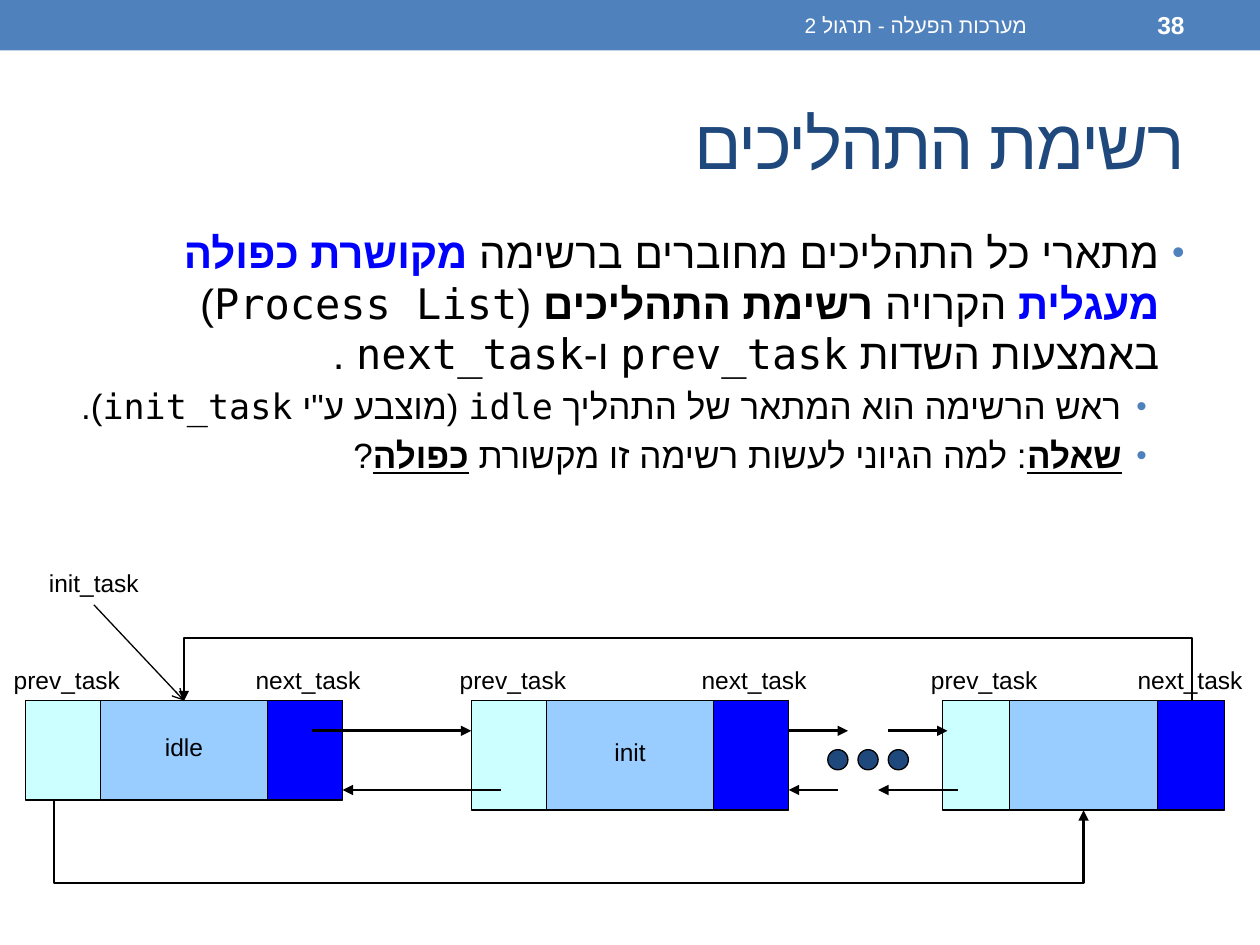
from lxml.etree import SubElement
from pptx import Presentation
from pptx.dml.color import RGBColor
from pptx.enum.shapes import MSO_CONNECTOR, MSO_SHAPE
from pptx.enum.text import MSO_ANCHOR, PP_ALIGN
from pptx.oxml.ns import qn
from pptx.util import Inches, Pt

COLS, ROWS = 100, 75
MONO, SANS = "DejaVu Sans Mono", "Arial"
BLACK, WHITE, BLUE, NAVY, ACCENT = "000000", "FFFFFF", "0000FF", "1F497D", "4F81BD"
NODE_PARTS = [(9, "CCFFFF"), (20, "99CCFF"), (9, BLUE)]


def grid(*units):
    return [Inches(u / 10) for u in units]


def color(value):
    return RGBColor.from_string(value)


def add_run(p, text, size, font, fill=BLACK, bold=False, underline=False):
    r = p.add_run()
    r.text = text
    f = r.font
    f.size, f.name, f.bold, f.underline = Pt(size), font, bold, underline
    f.color.rgb = color(fill)
    SubElement(r._r.get_or_add_rPr(), qn("a:cs")).set("typeface", SANS)
    return r


def set_rtl(p):
    p.alignment = PP_ALIGN.RIGHT
    pPr = p._p.get_or_add_pPr()
    pPr.set("rtl", "1")
    return pPr


def add_frame(s, box, anchor=MSO_ANCHOR.TOP):
    sp = s.shapes.add_textbox(*grid(*box))
    sp.text_frame.word_wrap = True
    sp.text_frame.vertical_anchor = anchor
    return sp


def add_line_text(s, box, text, size, fill, bold=False):
    p = add_frame(s, box, MSO_ANCHOR.MIDDLE).text_frame.paragraphs[0]
    set_rtl(p)
    return add_run(p, text, size, MONO, fill, bold)


def add_label(s, box, text, align=PP_ALIGN.LEFT):
    sp = add_frame(s, box)
    p = sp.text_frame.paragraphs[0]
    p.alignment = align
    add_run(p, text, 14, SANS)
    return sp


def add_block(s, kind, box, fill, line=BLACK):
    sp = s.shapes.add_shape(kind, *grid(*box))
    sp.shadow.inherit = False
    sp.fill.solid()
    sp.fill.fore_color.rgb = color(fill)
    if line:
        sp.line.color.rgb = color(line)
        sp.line.width = Pt(0.75)
    else:
        sp.line.fill.background()
    return sp


def add_arrow(s, start, end, kind=MSO_CONNECTOR.STRAIGHT, width=1.5, head="triangle"):
    c = s.shapes.add_connector(kind, *grid(*start, *end))
    c.line.color.rgb = color(BLACK)
    c.line.width = Pt(width)
    SubElement(c.line._get_or_add_ln(), qn("a:tailEnd")).set("type", head)
    SubElement(c._element.spPr, qn("a:effectLst"))
    return c


def bend(c, preset, *shares):
    geom = c._element.spPr.find(qn("a:prstGeom"))
    geom.set("prst", preset)
    guides = geom.find(qn("a:avLst"))
    if guides is None:
        guides = SubElement(geom, qn("a:avLst"))
    for i, share in enumerate(shares, 1):
        gd = SubElement(guides, qn("a:gd"))
        gd.set("name", f"adj{i}")
        gd.set("fmla", f"val {round(share * 100000)}")


def add_header(s, box):
    x, y, w, h = box
    add_block(s, MSO_SHAPE.RECTANGLE, box, ACCENT, None)
    add_line_text(s, (x + w * 0.375, y, w * 0.45, h), "מערכות הפעלה - תרגול 2", 12, WHITE)
    add_line_text(s, (x + w * 0.83, y, w * 0.12, h), "38", 14, WHITE, True)


def add_title(s, box):
    r = add_line_text(s, box, "רשימת התהליכים", 40, NAVY)
    r._r.get_or_add_rPr().set("spc", "-100")


def add_body(s, box):
    paragraphs = [
        (0, 24, [("מתארי כל התהליכים מחוברים ברשימה ", {}),
                 ("מקושרת כפולה מעגלית ", {"fill": BLUE, "bold": True}),
                 ("הקרויה ", {}),
                 ("רשימת התהליכים ", {"bold": True}),
                 ("(Process List) באמצעות השדות prev_task ו-next_task .", {})]),
        (1, 20, [("ראש הרשימה הוא המתאר של התהליך idle (מוצבע ע\"י init_task).", {})]),
        (1, 20, [("שאלה", {"bold": True, "underline": True}),
                 (": למה הגיוני לעשות רשימה זו מקשורת ", {}),
                 ("כפולה", {"bold": True, "underline": True}),
                 ("?", {})]),
    ]
    tf = add_frame(s, box).text_frame
    for i, (level, size, runs) in enumerate(paragraphs):
        p = tf.add_paragraph() if i else tf.paragraphs[0]
        p.level = level
        p.space_before = Pt(size * 0.2)
        pPr = set_rtl(p)
        pPr.set("marL", str(Inches(0.2 + 0.3 * level)))
        pPr.set("indent", str(Inches(-0.2)))
        SubElement(SubElement(pPr, qn("a:buClr")), qn("a:srgbClr")).set("val", ACCENT)
        SubElement(pPr, qn("a:buSzPct")).set("val", "85000")
        SubElement(pPr, qn("a:buFont")).set("typeface", SANS)
        SubElement(pPr, qn("a:buChar")).set("char", "•")
        for text, style in runs:
            add_run(p, text, size, MONO, **style)


def add_node(s, box, name=""):
    x, y, w, h = box
    total = sum(weight for weight, _ in NODE_PARTS)
    parts, left = [], x
    for weight, fill in NODE_PARTS:
        width = w * weight / total
        parts.append(add_block(s, MSO_SHAPE.RECTANGLE, (left, y, width, h), fill))
        left += width
    if name:
        tf = parts[1].text_frame
        tf.vertical_anchor = MSO_ANCHOR.MIDDLE
        tf.margin_bottom = Inches(0.1)
        tf.paragraphs[0].alignment = PP_ALIGN.CENTER
        add_run(tf.paragraphs[0], name, 14, SANS)
    add_label(s, (x - 1.9, y - 3.3, 12.2, 3.3), "prev_task")
    add_label(s, (x + w - 7.9, y - 3.3, 11, 3.3), "next_task")
    return parts


def add_list(s, box):
    x, y, w, h = box
    top = y + 11
    idle = add_node(s, (x + 2, top, 25.2, 7.9), "idle")[1]
    add_node(s, (x + 37.4, top, 25.2, 8.7), "init")
    add_node(s, (x + 74.8, top, 22.4, 8.7))

    forward, back = top + 2.4, top + 7.1
    for start, end in [(24.8, 37.4), (62.6, 67.3), (70.5, 75.2)]:
        add_arrow(s, (x + start, forward), (x + end, forward))
    for start, end in [(39.8, 27.2), (76, 69.7), (66.5, 62.6)]:
        add_arrow(s, (x + start, back), (x + end, back))
    for i in range(3):
        add_block(s, MSO_SHAPE.OVAL, (x + 65.7 + 2.4 * i, top + 3.9, 1.6, 1.6), NAVY)

    prev_link = add_arrow(s, (x + 4.3, top + 7.9), (x + 86, top + 8.7), MSO_CONNECTOR.ELBOW)
    bend(prev_link, "bentConnector4", 0, 6.6 / 0.8)

    next_link = add_arrow(s, (x + 54.55, top - 40), (x + 54.65, top + 40), MSO_CONNECTOR.ELBOW)
    next_link.rotation = 270
    xfrm = next_link._element.spPr.find(qn("a:xfrm"))
    xfrm.set("flipH", "1")
    xfrm.set("flipV", "1")
    bend(next_link, "bentConnector3", -5 / 0.1)

    label = add_label(s, (x + 2.7, y, 9.5, 3.4), "init_task", PP_ALIGN.CENTER)
    pointer = add_arrow(s, (x + 7.5, y + 3.4), (x + 14.6, top), width=0.75, head="arrow")
    pointer.begin_connect(label, 2)
    pointer.end_connect(idle, 0)


def main():
    prs = Presentation()
    prs.slide_width, prs.slide_height = grid(COLS, ROWS)
    s = prs.slides.add_slide(prs.slide_layouts[6])
    add_header(s, (0, 0, COLS, 4))
    add_title(s, (5, 5.8, 90, 10.8))
    add_body(s, (5, 17.5, 90, 53.3))
    add_list(s, (0, 44.6, COLS, 26))
    prs.save("out.pptx")


if __name__ == "__main__":
    main()
